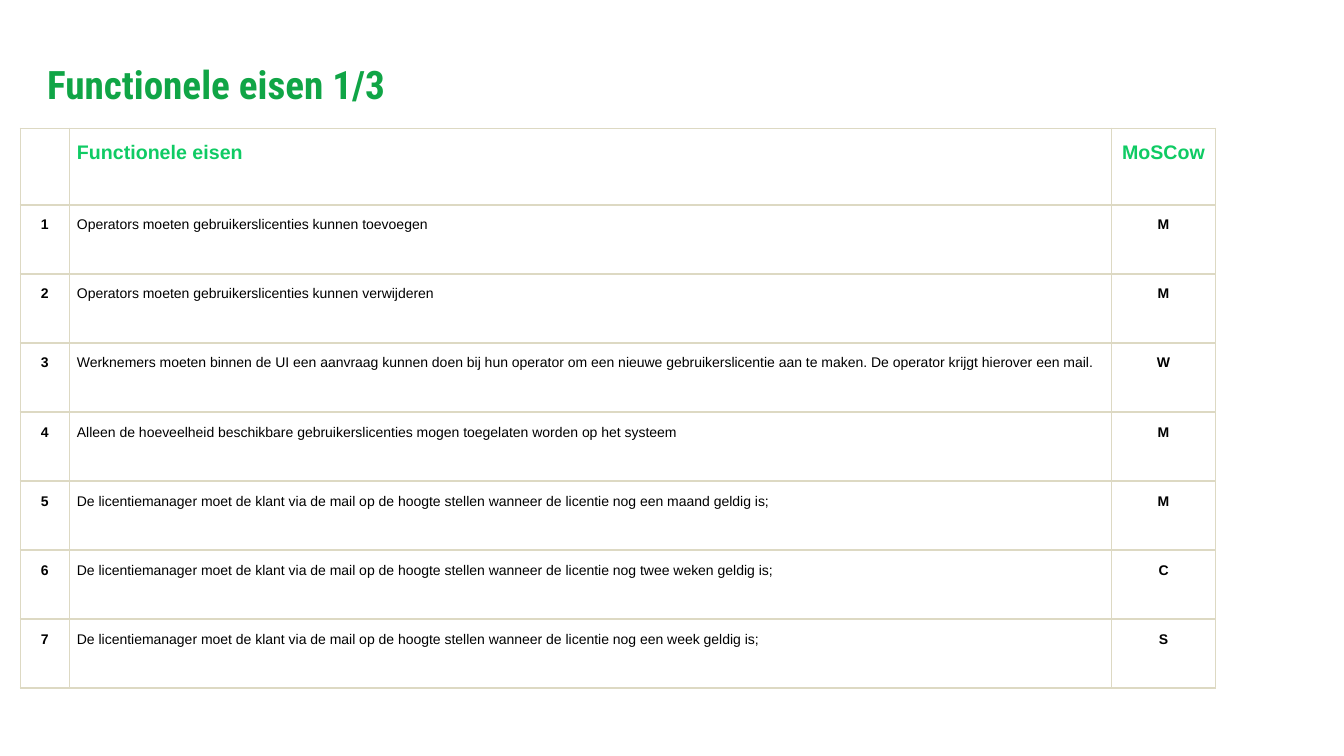
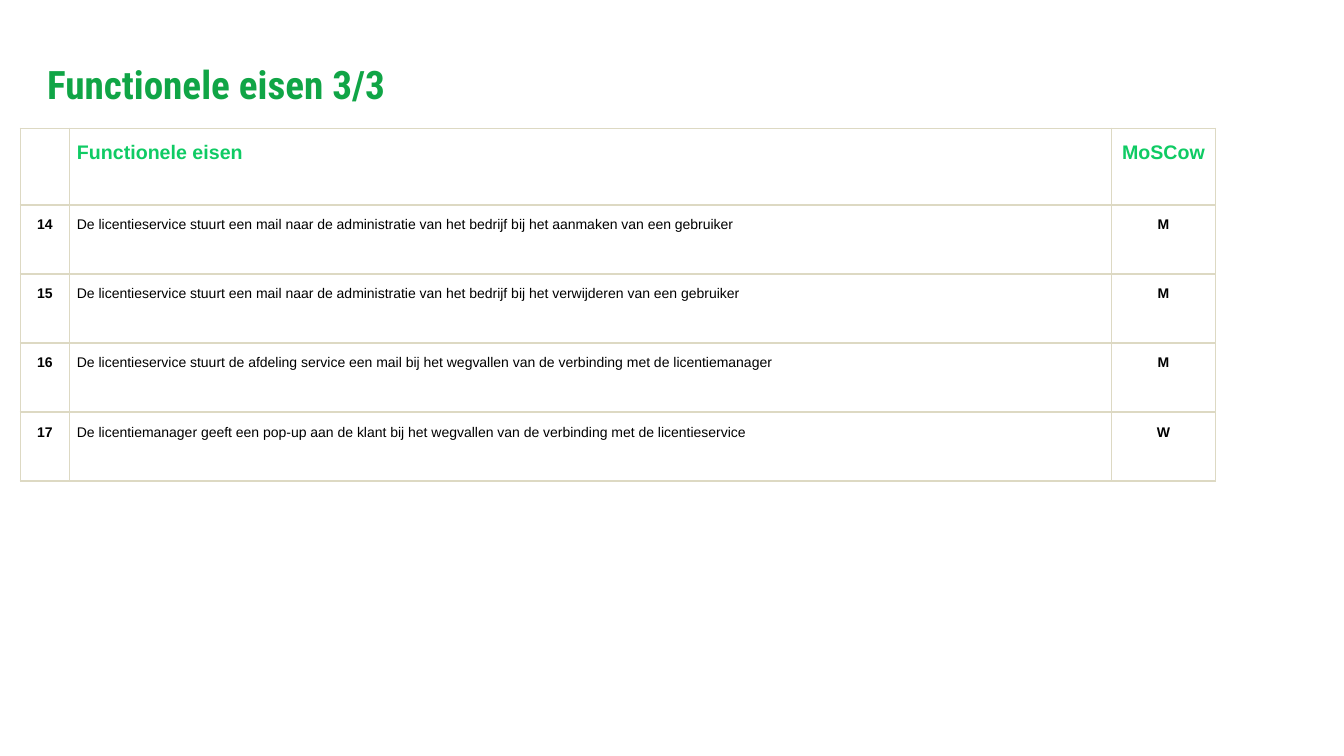
from dataclasses import dataclass

from lxml.etree import SubElement
from pptx import Presentation
from pptx.dml.color import RGBColor
from pptx.enum.text import MSO_ANCHOR, PP_ALIGN
from pptx.oxml.ns import qn
from pptx.slide import Slide
from pptx.table import _Cell
from pptx.text.text import TextFrame
from pptx.util import Pt


@dataclass(frozen=True)
class Theme:
    title_color: str = "10A546"
    header_color: str = "0FCB64"
    body_color: str = "000000"
    border_color: str = "DDD9C3"
    background: str = "FFFFFF"
    title_font: str = "Roboto Condensed"
    body_font: str = "Arial"
    title_size: float = 28
    header_size: float = 14
    body_size: float = 10


@dataclass(frozen=True)
class Requirement:
    text: str
    priority: str


@dataclass(frozen=True)
class RequirementPage:
    title: str
    first_number: int
    requirements: tuple[Requirement, ...]


THEME = Theme()
COLUMN_WIDTHS = (35.2, 744.4, 74.3)
COLUMN_ALIGNMENTS = (PP_ALIGN.CENTER, PP_ALIGN.LEFT, PP_ALIGN.CENTER)
HEADERS = ("", "Functionele eisen", "MoSCow")
HEADER_HEIGHT = 54.9
ROW_HEIGHT = 49.3
TABLE_LEFT, TABLE_TOP = 14.4, 91.5

PAGES = (
    RequirementPage("Functionele eisen 1/3", 1, (
        Requirement("Operators moeten gebruikerslicenties kunnen toevoegen", "M"),
        Requirement("Operators moeten gebruikerslicenties kunnen verwijderen", "M"),
        Requirement("Werknemers moeten binnen de UI een aanvraag kunnen doen bij hun operator om een "
                    "nieuwe gebruikerslicentie aan te maken. De operator krijgt hierover een mail.", "W"),
        Requirement("Alleen de hoeveelheid beschikbare gebruikerslicenties mogen toegelaten worden "
                    "op het systeem", "M"),
        Requirement("De licentiemanager moet de klant via de mail op de hoogte stellen wanneer "
                    "de licentie nog een maand geldig is;", "M"),
        Requirement("De licentiemanager moet de klant via de mail op de hoogte stellen wanneer "
                    "de licentie nog twee weken geldig is;", "C"),
        Requirement("De licentiemanager moet de klant via de mail op de hoogte stellen wanneer "
                    "de licentie nog een week geldig is;", "S"),
    )),
    RequirementPage("Functionele eisen 3/3", 14, (
        Requirement("De licentieservice stuurt een mail naar de administratie van het bedrijf "
                    "bij het aanmaken van een gebruiker", "M"),
        Requirement("De licentieservice stuurt een mail naar de administratie van het bedrijf "
                    "bij het verwijderen van een gebruiker", "M"),
        Requirement("De licentieservice stuurt de afdeling service een mail bij het wegvallen "
                    "van de verbinding met de licentiemanager", "M"),
        Requirement("De licentiemanager geeft een pop-up aan de klant bij het wegvallen "
                    "van de verbinding met de licentieservice", "W"),
    )),
)


def write_text(frame: TextFrame, text: str, *, font: str = THEME.body_font,
               size: float = THEME.body_size, color: str = THEME.body_color,
               bold: bool = False, align: PP_ALIGN = PP_ALIGN.LEFT,
               line_spacing: float = 1.15, space_after: float = 0) -> None:
    para = frame.paragraphs[0]
    para.alignment = align
    para.line_spacing = line_spacing
    para.space_before = Pt(0)
    para.space_after = Pt(space_after)
    para.font.size = Pt(size)
    if text:
        span = para.add_run()
        span.text = text
        span.font.name = font
        span.font.size = Pt(size)
        span.font.bold = bold
        span.font.color.rgb = RGBColor.from_string(color)


def style_cell(cell: _Cell) -> None:
    """Set margins, thin borders on all sides and the background fill."""
    cell.margin_left = cell.margin_right = Pt(5.4)
    cell.margin_top = cell.margin_bottom = Pt(7.2)
    properties = cell._tc.get_or_add_tcPr()
    for side in ("a:lnL", "a:lnR", "a:lnT", "a:lnB"):
        line = SubElement(properties, qn(side), w=str(Pt(1)))
        fill = SubElement(line, qn("a:solidFill"))
        SubElement(fill, qn("a:srgbClr"), val=THEME.border_color)
    cell.fill.solid()
    cell.fill.fore_color.rgb = RGBColor.from_string(THEME.background)


def add_title(page: Slide, text: str) -> None:
    box = page.shapes.add_textbox(Pt(26.6), Pt(16.6), Pt(813.6), Pt(64))
    frame = box.text_frame
    frame.word_wrap = True
    frame.vertical_anchor = MSO_ANCHOR.BOTTOM
    write_text(frame, text, font=THEME.title_font, size=THEME.title_size,
               color=THEME.title_color, bold=True, line_spacing=0.9)


def add_requirement_table(page: Slide, content: RequirementPage) -> None:
    rows = [HEADERS] + [
        (str(number), item.text, item.priority)
        for number, item in enumerate(content.requirements, content.first_number)
    ]
    heights = [HEADER_HEIGHT] + [ROW_HEIGHT] * len(content.requirements)
    table = page.shapes.add_table(
        len(rows), len(HEADERS), Pt(TABLE_LEFT), Pt(TABLE_TOP),
        Pt(sum(COLUMN_WIDTHS)), Pt(sum(heights))).table
    table.first_row = table.horz_banding = False
    for column, width in zip(table.columns, COLUMN_WIDTHS):
        column.width = Pt(width)
    for row_index, (texts, height) in enumerate(zip(rows, heights)):
        table.rows[row_index].height = Pt(height)
        is_header = row_index == 0
        for column_index, (text, align) in enumerate(zip(texts, COLUMN_ALIGNMENTS)):
            cell = table.cell(row_index, column_index)
            style_cell(cell)
            write_text(cell.text_frame, text, align=align, space_after=12,
                       size=THEME.header_size if is_header else THEME.body_size,
                       color=THEME.header_color if is_header else THEME.body_color,
                       bold=is_header or column_index != 1)


def main() -> None:
    deck = Presentation()
    deck.slide_width, deck.slide_height = Pt(960), Pt(540)
    for content in PAGES:
        page = deck.slides.add_slide(deck.slide_layouts[6])
        add_title(page, content.title)
        add_requirement_table(page, content)
    deck.save("out.pptx")


if __name__ == "__main__":
    main()
